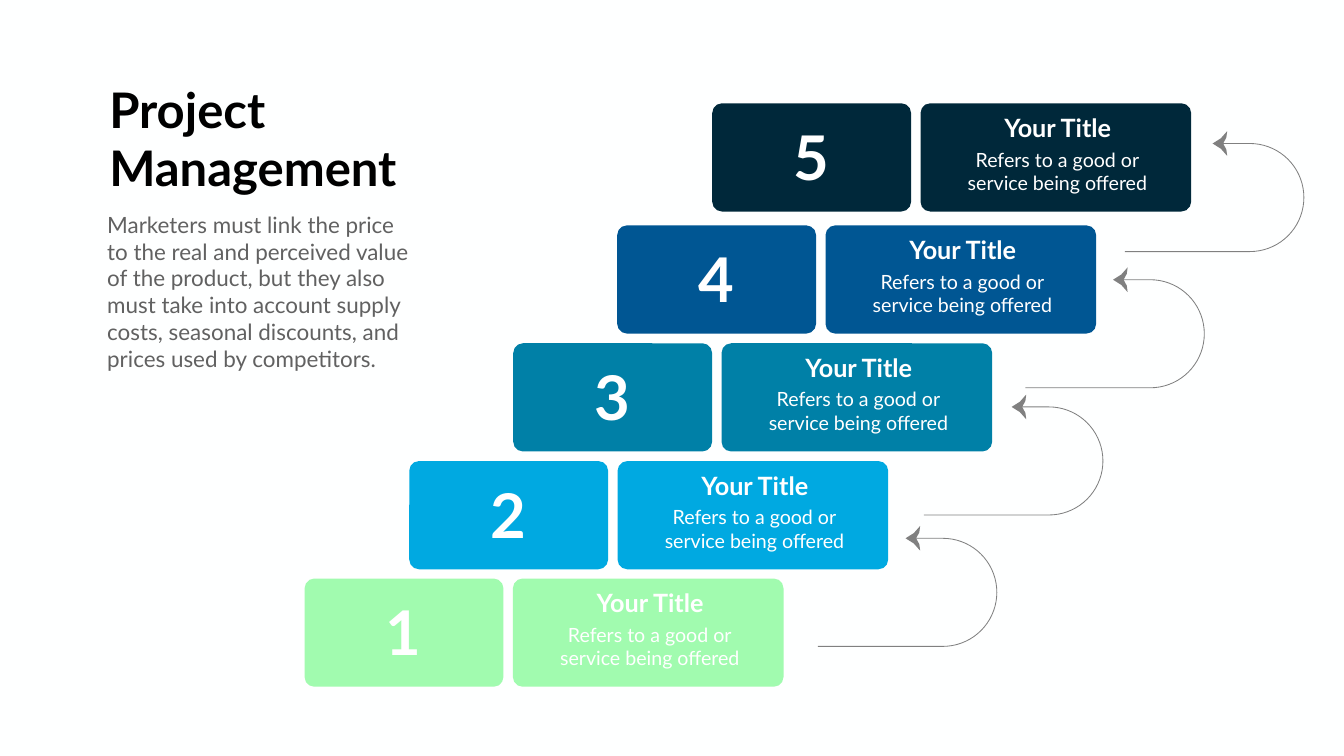
import math
from pptx import Presentation, util as u
from pptx.dml.color import RGBColor
from pptx.enum import shapes as kinds, text as t


class Theme:
    font = "Lato"
    back, black, gray, white, line = "FEFFFF", "000000", "616161", "FFFFFF", "808080"
    steps = ["A1FBAF", "00A9E1", "0080A7", "005693", "00283A"]
    title, body, digit, head, note = 70, 32, 88, 36, 28


def write(x, y, w, h, lines, size, tone=Theme.white, bold=False, align=t.PP_ALIGN.LEFT, wrap=True):
    frame = slide.shapes.add_textbox(u.Pt(x), u.Pt(y), u.Pt(w), u.Pt(h)).text_frame
    frame.word_wrap = wrap
    frame.auto_size = t.MSO_AUTO_SIZE.SHAPE_TO_FIT_TEXT
    for i, line in enumerate(lines):
        para = frame.add_paragraph() if i else frame.paragraphs[0]
        para.alignment = align
        run = para.add_run()
        run.text = line
        run.font.name = Theme.font
        run.font.size = u.Pt(size)
        run.font.bold = bold
        run.font.color.rgb = RGBColor.from_string(tone)


def draw(x, y, points, close):
    spots = [(u.Pt(x + dx), u.Pt(y + dy)) for dx, dy in points]
    pen = slide.shapes.build_freeform(*spots[0], scale=1.0)
    pen.add_line_segments(spots[1:], close=close)
    shape = pen.convert_to_shape()
    shape.shadow.inherit = False
    return shape


deck = Presentation()
deck.slide_width, deck.slide_height = u.Pt(1919.5), u.Pt(1080)
slide = deck.slides.add_slide(deck.slide_layouts[6])
slide.background.fill.solid()
slide.background.fill.fore_color.rgb = RGBColor.from_string(Theme.back)

radius = 77.2
arc = [math.radians(a) for a in range(-90, 91, 5)]
curve = [(138.5, 0)]
curve += [(178.5 + radius * math.cos(a), radius + radius * math.sin(a)) for a in arc]
curve += [(0, 2 * radius)]
half = [(125.3, 0), (137.1, -7.4), (146.2, -17.7), (145, -8.5), (140.4, 0)]
tip = half + [(x, -y) for x, y in half[-2:0:-1]]

for x, y in [(1168, 769), (1319.5, 581.3), (1464.3, 399.6), (1606.5, 205)]:
    loop = draw(x, y, curve, False)
    loop.fill.background()
    loop.line.color.rgb = RGBColor.from_string(Theme.line)
    loop.line.width = u.Pt(1.19)
    arrow = draw(x, y, tip, True)
    arrow.fill.solid()
    arrow.fill.fore_color.rgb = RGBColor.from_string(Theme.line)
    arrow.line.fill.background()

write(149, 109.5, 446.5, 181.5, ["Project", "Management"], Theme.title, Theme.black, True, wrap=False)
write(146, 297.5, 449.5, 240, [
    "Marketers must link the price to the real and perceived value of the product, "
    "but they also must take into account supply costs, seasonal discounts, "
    "and prices used by competitors."], Theme.body, Theme.gray)

high = 154.6
mid = t.PP_ALIGN.CENTER
spots = [(435, 826.5), (584.5, 658.7), (733, 490.4), (881.5, 322), (1017.2, 147.6)]
for step, ((x, y), tone) in enumerate(zip(spots, Theme.steps), 1):
    for dx, wide in [(0, 284), (297.5, 386.5)]:
        card = slide.shapes.add_shape(
            kinds.MSO_SHAPE.ROUNDED_RECTANGLE, u.Pt(x + dx), u.Pt(y), u.Pt(wide), u.Pt(high))
        card.adjustments[0] = 0.09
        card.shadow.inherit = False
        card.fill.solid()
        card.fill.fore_color.rgb = RGBColor.from_string(tone)
        card.line.fill.background()
    write(x + 109, y + 19, 66, 114, [str(step)], Theme.digit, bold=True, wrap=False)
    write(x + 399.5, y + 9.2, 188, 51, ["Your Title"], Theme.head, bold=True, align=mid)
    write(x + 350, y + 59.5, 286, 75, ["Refers to a good or", "service being offered"], Theme.note, align=mid)

deck.save("out.pptx")
